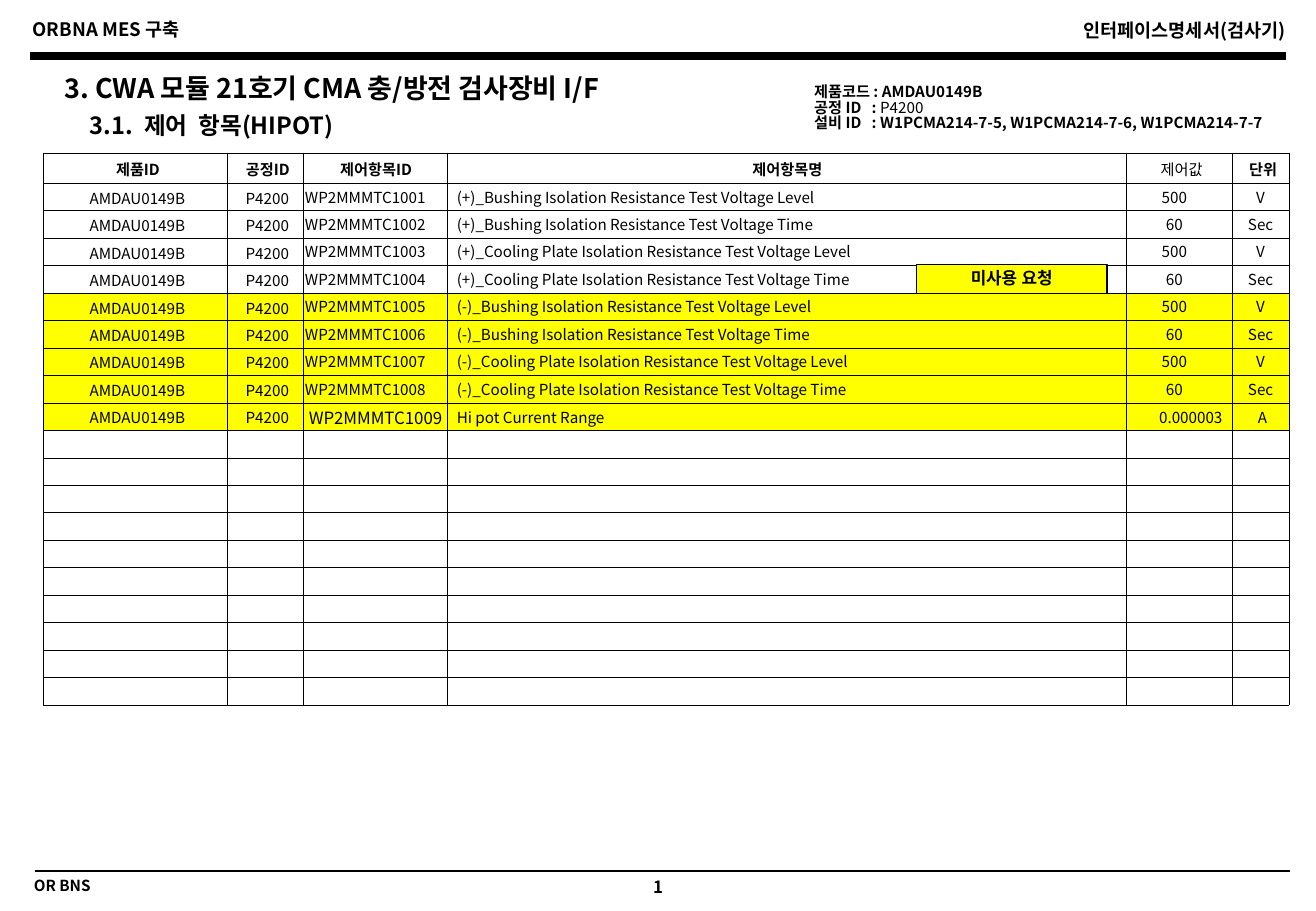
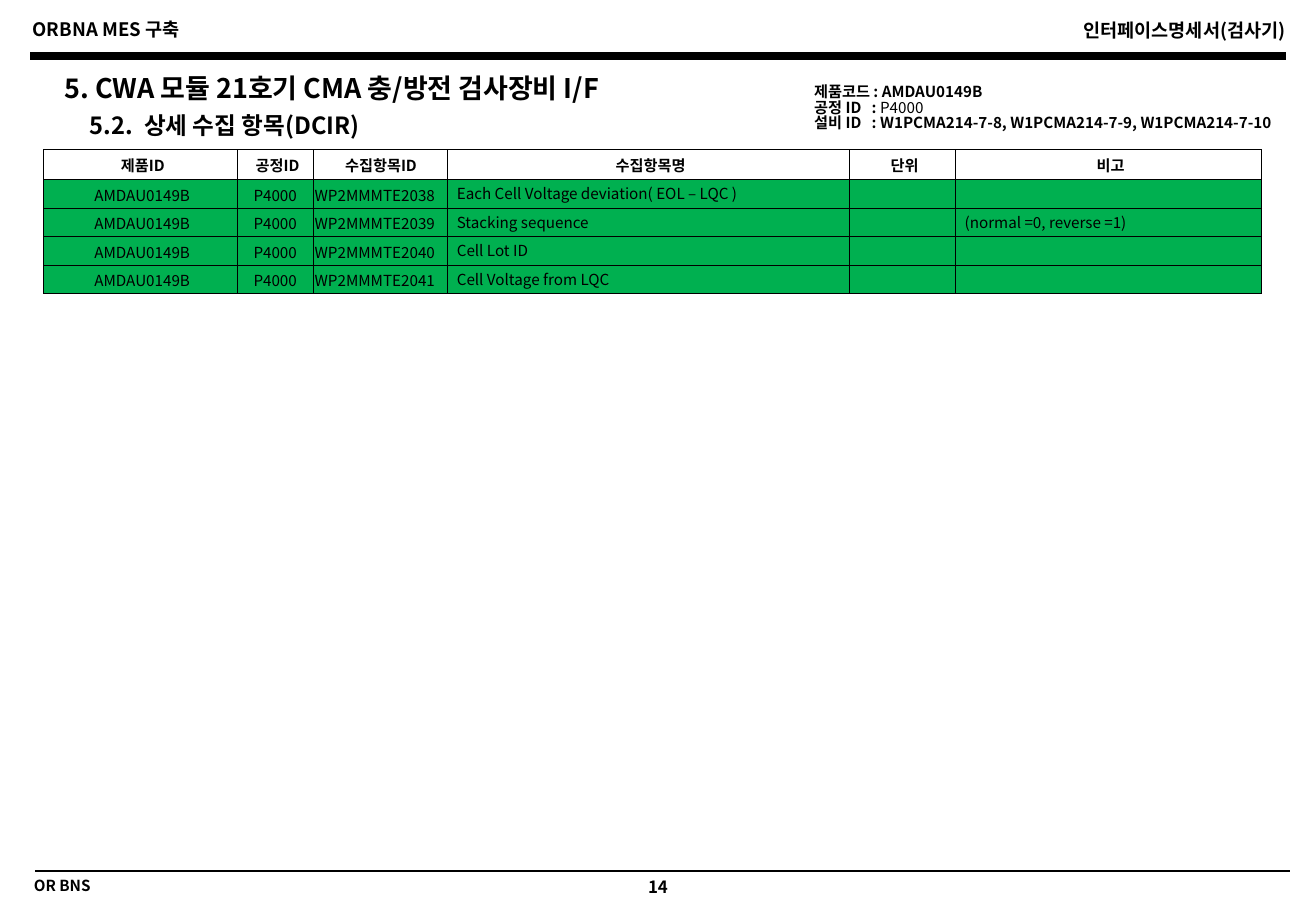
from dataclasses import dataclass

from lxml.etree import SubElement
from pptx import Presentation
from pptx.dml.color import RGBColor
from pptx.enum.shapes import MSO_CONNECTOR, MSO_SHAPE
from pptx.enum.text import MSO_ANCHOR, MSO_AUTO_SIZE, PP_ALIGN
from pptx.oxml.ns import qn
from pptx.util import Inches, Pt

BLACK = RGBColor(0x00, 0x00, 0x00)
YELLOW = RGBColor(0xFF, 0xFF, 0x00)
GREEN = RGBColor(0x00, 0xB0, 0x50)
LEFT, CENTER, RIGHT = PP_ALIGN.LEFT, PP_ALIGN.CENTER, PP_ALIGN.RIGHT

# The page is a fine grid of square cells
COLUMNS, ROWS = 1083, 750
CELL = Inches(0.01)


def grid(*counts):
    return [round(count * CELL) for count in counts]


@dataclass
class Column:
    heading: str
    width: int
    align: PP_ALIGN = CENTER
    left: int = 4
    right: int = 1
    spacing: float = 1.0
    bold_heading: bool = True


@dataclass
class Entry:
    """A cell that departs from the style of its column."""
    text: str
    align: PP_ALIGN
    size: int = 9
    left: int = 4
    right: int = 1


class SpecDeck:
    FONT = "Noto Sans CJK KR"
    SIZE = 9

    def __init__(self):
        self.deck = Presentation()
        self.deck.slide_width, self.deck.slide_height = grid(COLUMNS, ROWS)
        self.page = None

    # Text
    def span(self, para, text, size=SIZE, bold=True, font=FONT):
        span = para.add_run()
        span.text = text
        span.font.size, span.font.bold = Pt(size), bold
        span.font.color.rgb = BLACK
        span.font.name = font
        SubElement(span.font._element, qn("a:ea"), typeface=font)

    def para(self, para, align=LEFT, spacing=0.8, before=0, hanging=0):
        para.alignment, para.line_spacing = align, spacing
        properties = para._p.get_or_add_pPr()
        indent = round(hanging * CELL)
        properties.set("marL", str(indent))
        properties.set("indent", str(-indent))
        gap = SubElement(properties, qn("a:spcBef"))
        SubElement(gap, qn("a:spcPct"), val=str(before * 1000))
        SubElement(properties, qn("a:buNone"))

    def frame(self, box, anchor=MSO_ANCHOR.MIDDLE, wrap=True):
        frame = box.text_frame
        frame.auto_size = MSO_AUTO_SIZE.NONE
        frame.vertical_anchor, frame.word_wrap = anchor, wrap
        return frame

    def label(self, text, area, size, align=LEFT):
        box = self.page.shapes.add_textbox(*grid(*area))
        para = self.frame(box).paragraphs[0]
        self.para(para, align, before=50)
        self.span(para, text, size)

    def heading(self, holder, text, area, size, wrap=True):
        holder.left, holder.top, holder.width, holder.height = grid(*area)
        para = self.frame(holder, wrap=wrap).paragraphs[0]
        self.para(para, before=20)
        self.span(para, text, size)

    def facts(self, holder, lines):
        holder.left, holder.top, holder.width, holder.height = grid(660, 65, 449, 51)
        frame = self.frame(holder, MSO_ANCHOR.TOP)
        for number, (name, value, bold) in enumerate(lines):
            para = frame.add_paragraph() if number else frame.paragraphs[0]
            self.para(para, spacing=0.85, hanging=50)
            self.span(para, name)
            self.span(para, value, bold=bold)

    # Lines and shapes
    def rule(self, left, right, top, weight):
        line = self.page.shapes.add_connector(
            MSO_CONNECTOR.STRAIGHT, *grid(left, top, right, top))
        line.line.color.rgb, line.line.width = BLACK, Pt(weight)
        SubElement(line._element.spPr, qn("a:effectLst"))

    def callout(self, text, area):
        box = self.page.shapes.add_shape(MSO_SHAPE.RECTANGLE, *grid(*area))
        box.shadow.inherit = False
        box.fill.solid()
        box.fill.fore_color.rgb = YELLOW
        box.line.color.rgb, box.line.width = BLACK, Pt(0.75)
        para = self.frame(box).paragraphs[0]
        self.para(para, CENTER)
        self.span(para, text, 10, font="Arial")

    # Page with its header, footer and headings
    def add_page(self, number, title, subtitle, process, machines):
        self.page = self.deck.slides.add_slide(self.deck.slide_layouts[3])
        self.label("ORBNA MES 구축", (17, 13, 415, 25), 11)
        self.label("인터페이스명세서(검사기)", (653, 14, 415, 25), 11, RIGHT)
        self.rule(25, 1058, 46, 4.5)
        self.rule(29, 1062, 717, 1)
        self.label("OR BNS", (18, 719, 415, 22), 9)
        self.label(number, (495, 720, 93, 24), 10, CENTER)

        title_holder, subtitle_holder, facts_holder = self.page.placeholders
        self.heading(title_holder, title, (43, 59, 514, 32), 16, wrap=False)
        self.heading(subtitle_holder, subtitle, (64, 91, 383, 29), 14)
        self.facts(facts_holder, [
            ("제품코드 : ", "AMDAU0149B", True),
            ("공정 ID   : ", process, False),
            ("설비 ID   : ", machines, True)])

    # Table
    def cell(self, cell, entry, spacing=1.0, bold=False, fill=None):
        cell.vertical_anchor = MSO_ANCHOR.MIDDLE
        cell.margin_left, cell.margin_right, cell.margin_top, cell.margin_bottom = grid(
            entry.left, entry.right, 1, 0)
        properties = cell._tc.get_or_add_tcPr()
        for side in ("a:lnL", "a:lnR", "a:lnT", "a:lnB"):
            border = SubElement(properties, qn(side), w=str(Pt(0.5)))
            paint = SubElement(border, qn("a:solidFill"))
            SubElement(paint, qn("a:srgbClr"), val=str(BLACK))
        if fill is None:
            cell.fill.background()
        else:
            cell.fill.solid()
            cell.fill.fore_color.rgb = fill
        para = cell.text_frame.paragraphs[0]
        para.alignment, para.line_spacing = entry.align, spacing
        if entry.text:
            self.span(para, entry.text, entry.size, bold)
        else:
            SubElement(para._p, qn("a:endParaRPr"), sz=str(self.SIZE * 100))

    def table(self, columns, records, top, height, fills):
        head = 25
        width = sum(column.width for column in columns)
        holder = self.page.shapes.add_table(
            len(records) + 1, len(columns), *grid(36, top, width, height))
        table = holder.table
        table.first_row = table.horz_banding = False
        row_height = (height - head) / len(records)
        for number, row in enumerate(table.rows):
            row.height = round((row_height if number else head) * CELL)
        for across, column in enumerate(columns):
            table.columns[across].width = round(column.width * CELL)
            self.cell(table.cell(0, across), Entry(column.heading, CENTER, right=0),
                      bold=column.bold_heading)
            for down, (record, fill) in enumerate(zip(records, fills), 1):
                entry, spacing = record[across], 1.0
                if isinstance(entry, str):
                    entry = Entry(entry, column.align, self.SIZE, column.left, column.right)
                    spacing = column.spacing
                self.cell(table.cell(down, across), entry, spacing, fill=fill)


spec = SpecDeck()
PRODUCT = "AMDAU0149B"

# Control items
spec.add_page("1", "3. CWA 모듈 21호기 CMA 충/방전 검사장비 I/F", "3.1.  제어  항목(HIPOT) ",
              "P4200", "W1PCMA214-7-5, W1PCMA214-7-6, W1PCMA214-7-7")
control_columns = [
    Column("제품ID", 151),
    Column("공정ID", 63),
    Column("제어항목ID ", 118, LEFT, 1, 1, 0.8),
    Column("제어항목명 ", 559, LEFT, 8, 1, 0.8),
    Column("제어값", 87, CENTER, 0, 8, 0.8, bold_heading=False),
    Column("단위", 47, CENTER, 0, 0, 0.8),
]
tests = [(sign, part, measure)
         for sign in "+-"
         for part in ("Bushing", "Cooling Plate")
         for measure in (("Level", "500", "V"), ("Time", "60", "Sec"))]
controls = [
    [PRODUCT, "P4200", f"WP2MMMTC{number}",
     f"({sign})_{part} Isolation Resistance Test Voltage {kind}", value, unit]
    for number, (sign, part, (kind, value, unit)) in enumerate(tests, 1001)]
controls.append([
    PRODUCT, "P4200", Entry("WP2MMMTC1009", CENTER, 10, 0, 0),
    Entry("Hi pot Current Range", LEFT, left=8),
    Entry("0.000003", RIGHT, right=8), Entry("A", CENTER)])
controls += [[""] * len(control_columns)] * 10
spec.table(control_columns, controls, 126, 455,
           [None] * 4 + [YELLOW] * 5 + [None] * 10)
spec.callout("미사용 요청", (754, 218, 157, 24))

# Detailed collection items
spec.add_page("14", "5. CWA 모듈 21호기 CMA 충/방전 검사장비 I/F", "5.2.  상세 수집 항목(DCIR)",
              "P4000", "W1PCMA214-7-8, W1PCMA214-7-9, W1PCMA214-7-10")
collection_columns = [
    Column("제품ID", 159),
    Column("공정ID", 63, left=1),
    Column("수집항목ID ", 110, LEFT, 1),
    Column("수집항목명", 331, LEFT, 8, 0, 0.8),
    Column("단위", 87),
    Column("비고", 252, LEFT, 8, 0, 0.8),
]
items = [("Each Cell Voltage deviation( EOL – LQC )", ""),
         ("Stacking sequence", "(normal =0, reverse =1)"),
         ("Cell Lot ID", ""),
         ("Cell Voltage from LQC", "")]
collections = [[PRODUCT, "P4000", f"WP2MMMTE{number}", name, "", note]
               for number, (name, note) in enumerate(items, 2038)]
spec.table(collection_columns, collections, 123, 119, [GREEN] * len(items))

spec.deck.save("out.pptx")
